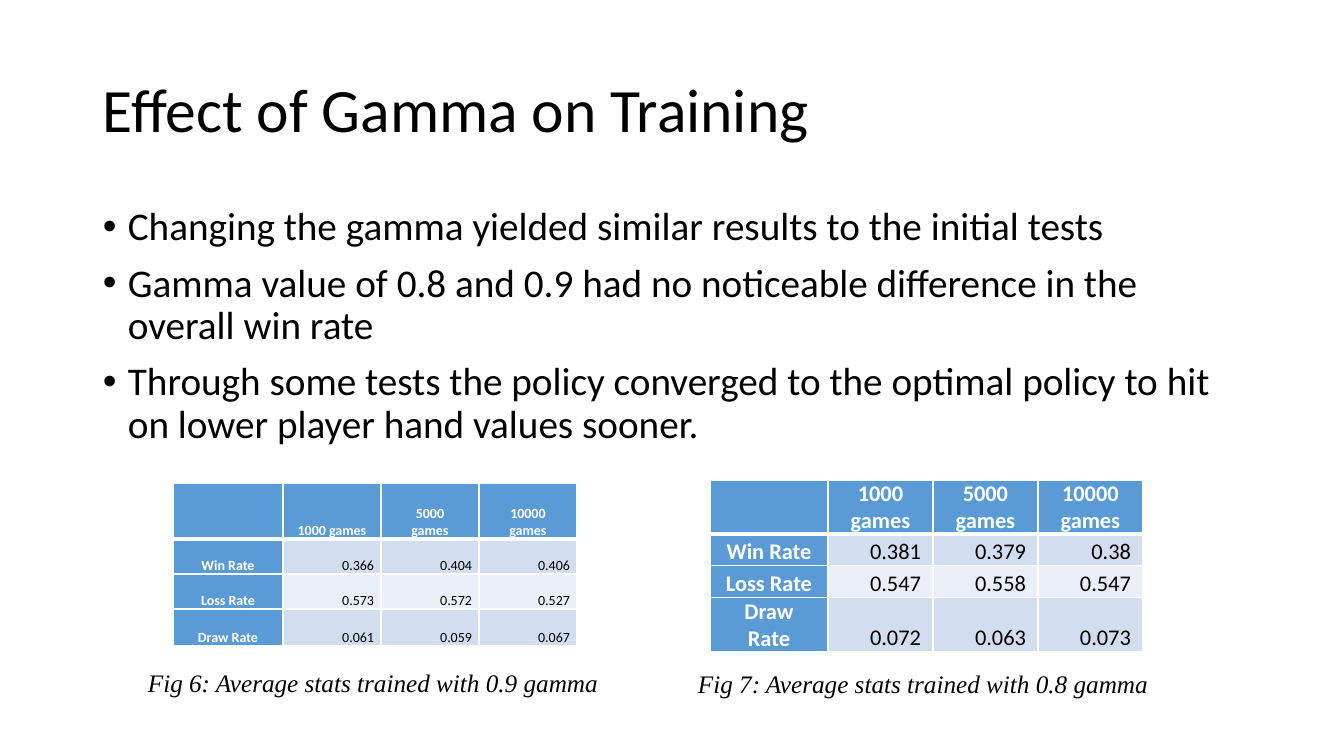
from dataclasses import dataclass

from lxml import etree
from pptx import Presentation
from pptx.dml.color import RGBColor
from pptx.enum.text import MSO_ANCHOR, PP_ALIGN
from pptx.oxml.ns import qn
from pptx.util import Emu, Pt

LEFT, CENTER, RIGHT = PP_ALIGN.LEFT, PP_ALIGN.CENTER, PP_ALIGN.RIGHT
JUSTIFY = PP_ALIGN.JUSTIFY
TOP, MIDDLE, BOTTOM = MSO_ANCHOR.TOP, MSO_ANCHOR.MIDDLE, MSO_ANCHOR.BOTTOM

# Content
TITLE = "Effect of Gamma on Training"
BULLETS = [
    "Changing the gamma yielded similar results to the initial tests",
    "Gamma value of 0.8 and 0.9 had no noticeable difference in the overall win rate",
    "Through some tests the policy converged to the optimal policy to hit "
    "on lower player hand values sooner.",
]
HEADER = [[], ["1000 games"], ["5000", "games"], ["10000", "games"]]
ROW_LABELS = ["Win Rate", "Loss Rate", "Draw Rate"]
FIGURES = [
    dict(
        caption="Fig 6: Average stats trained with 0.9 gamma",
        caption_at=(138, 662), table_at=(173, 483), size=10, inset=7,
        cols=[110, 98, 98, 98], rows=[56, 35, 35, 37],
        values=[["0.366", "0.404", "0.406"],
                ["0.573", "0.572", "0.527"],
                ["0.061", "0.059", "0.067"]],
    ),
    dict(
        caption="Fig 7: Average stats trained with 0.8 gamma",
        caption_at=(688, 663), table_at=(710, 480), size=16, inset=12,
        cols=[118, 105, 105, 105], rows=[52, 32, 32, 34],
        values=[["0.381", "0.379", "0.38"],
                ["0.547", "0.558", "0.547"],
                ["0.072", "0.063", "0.073"]],
    ),
]

# Layout in px
SLIDE_W, SLIDE_H = 1344, 756
TITLE_BOX = (93, 40, 1159, 146)
BODY_BOX = (93, 202, 1159, 267)
CAPTION_W, CAPTION_H = 475, 40
INDENT = 25
EMU_PER_PX = 12192000 / SLIDE_W


@dataclass(frozen=True)
class Theme:
    font: str = "Calibri"
    caption_font: str = "Times New Roman"
    text: str = "000000"
    white: str = "FFFFFF"
    accent: str = "5B9BD5"
    bands: tuple = ("D2DEEF", "EAEFF7")
    title_size: int = 44
    body_size: int = 28
    caption_size: int = 18
    line: int = 1
    header_line: int = 3


THEME = Theme()


def px(n):
    return Emu(round(n * EMU_PER_PX))


def add_run(p, text, size, color=THEME.text, font=THEME.font, bold=False, italic=False):
    r = p.add_run()
    r.text = text
    r.font.name, r.font.size = font, Pt(size)
    r.font.bold, r.font.italic = bold, italic
    r.font.color.rgb = RGBColor.from_string(color)


def add_text(s, box, lines, size, anchor=TOP, align=LEFT, wrap=True, spacing=None, **style):
    tf = s.shapes.add_textbox(*map(px, box)).text_frame
    tf.word_wrap, tf.vertical_anchor = wrap, anchor
    for i, line in enumerate(lines):
        p = tf.add_paragraph() if i else tf.paragraphs[0]
        p.alignment = align
        if spacing:
            p.line_spacing = spacing
        add_run(p, line, size, **style)
    return tf


def add_bullet(p):
    p.space_before = Pt(10)
    pPr = p._p.get_or_add_pPr()
    pPr.set("marL", str(px(INDENT)))
    pPr.set("indent", str(-px(INDENT)))
    etree.SubElement(pPr, qn("a:buFont"), typeface="Arial")
    etree.SubElement(pPr, qn("a:buChar"), char="•")


def set_borders(cell, top, bottom):
    tcPr = cell._tc.get_or_add_tcPr()
    widths = {"lnL": THEME.line, "lnR": THEME.line, "lnT": top, "lnB": bottom}
    for i, (tag, width) in enumerate(widths.items()):
        ln = etree.Element(qn("a:" + tag), w=str(Pt(width)))
        fill = etree.SubElement(ln, qn("a:solidFill"))
        etree.SubElement(fill, qn("a:srgbClr"), val=THEME.white)
        tcPr.insert(i, ln)


def fill_cell(cell, lines, row, col, fig):
    heading = row == 0 or col == 0
    cell.fill.solid()
    cell.fill.fore_color.rgb = RGBColor.from_string(
        THEME.accent if heading else THEME.bands[(row - 1) % 2])
    cell.vertical_anchor = BOTTOM
    cell.margin_left = cell.margin_right = px(fig["inset"])
    cell.margin_top = cell.margin_bottom = 0
    set_borders(cell, THEME.header_line if row == 1 else THEME.line,
                THEME.header_line if row == 0 else THEME.line)
    tf = cell.text_frame
    for i, line in enumerate(lines):
        p = tf.add_paragraph() if i else tf.paragraphs[0]
        p.alignment = CENTER if heading else RIGHT
        add_run(p, line, fig["size"], THEME.white if heading else THEME.text, bold=heading)


def add_figure(s, fig):
    cols, rows = fig["cols"], fig["rows"]
    box = (*fig["table_at"], sum(cols), sum(rows))
    table = s.shapes.add_table(len(rows), len(cols), *map(px, box)).table
    for column, width in zip(table.columns, cols):
        column.width = px(width)
    for row, height in zip(table.rows, rows):
        row.height = px(height)
    grid = [HEADER] + [[[label]] + [[v] for v in values]
                       for label, values in zip(ROW_LABELS, fig["values"])]
    for i, row in enumerate(grid):
        for j, lines in enumerate(row):
            fill_cell(table.cell(i, j), lines, i, j, fig)
    add_text(s, (*fig["caption_at"], CAPTION_W, CAPTION_H), [fig["caption"]],
             THEME.caption_size, align=JUSTIFY, wrap=False,
             font=THEME.caption_font, italic=True)


def main():
    prs = Presentation()
    prs.slide_width, prs.slide_height = px(SLIDE_W), px(SLIDE_H)
    s = prs.slides.add_slide(prs.slide_layouts[6])

    # Title and bullets
    add_text(s, TITLE_BOX, [TITLE], THEME.title_size, anchor=MIDDLE, spacing=0.9)
    body = add_text(s, BODY_BOX, BULLETS, THEME.body_size, spacing=0.9)
    for p in body.paragraphs:
        add_bullet(p)

    # Tables with captions
    for fig in FIGURES:
        add_figure(s, fig)

    prs.save("out.pptx")


if __name__ == "__main__":
    main()
